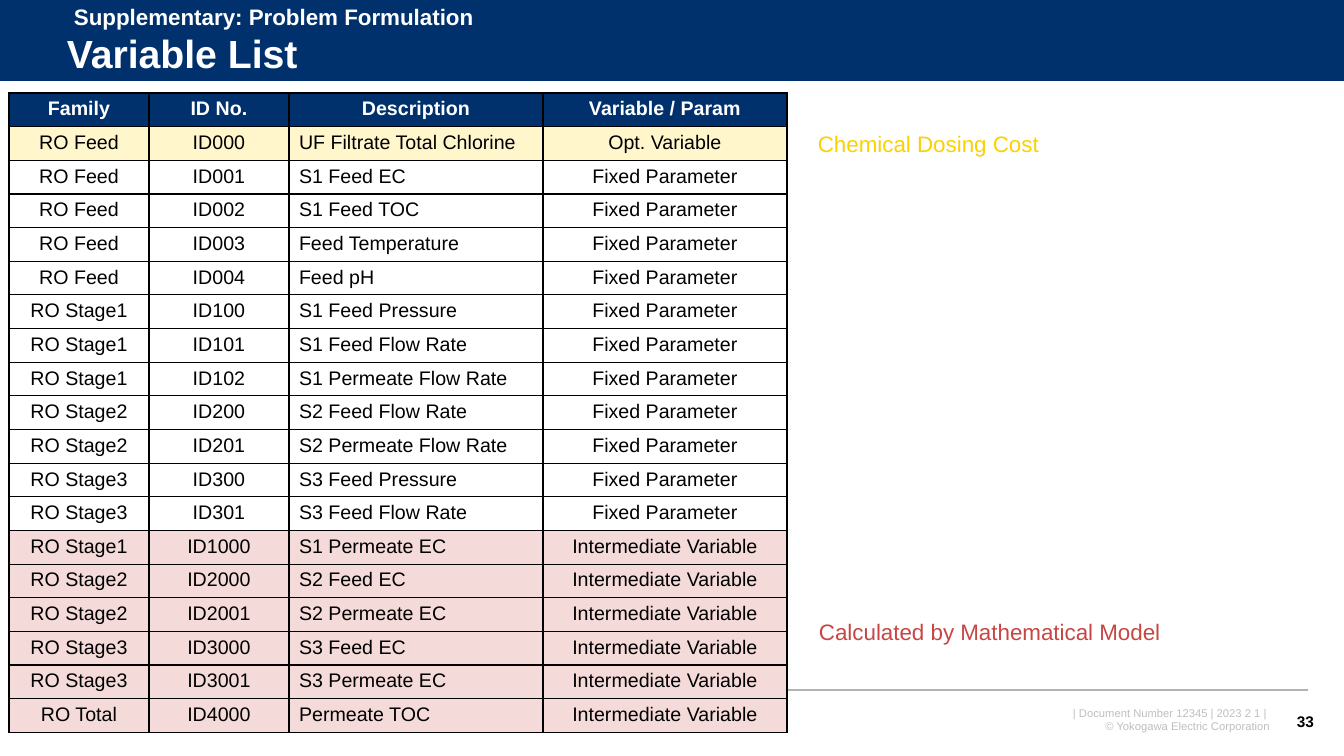
"""Build the slide listing the variables of the problem formulation."""
from lxml.etree import SubElement, fromstring
from pptx import Presentation
from pptx.dml.color import RGBColor
from pptx.enum.shapes import MSO_CONNECTOR, MSO_SHAPE
from pptx.enum.text import MSO_ANCHOR, PP_ALIGN
from pptx.oxml.ns import qn
from pptx.util import Emu, Pt

HEADERS = ("Family", "ID No.", "Description", "Variable / Param")
GROUPS = (
    ("Opt. Variable", "optimised", (
        ("RO Feed", "ID000", "UF Filtrate Total Chlorine"),
    )),
    ("Fixed Parameter", None, (
        ("RO Feed", "ID001", "S1 Feed EC"),
        ("RO Feed", "ID002", "S1 Feed TOC"),
        ("RO Feed", "ID003", "Feed Temperature"),
        ("RO Feed", "ID004", "Feed pH"),
        ("RO Stage1", "ID100", "S1 Feed Pressure"),
        ("RO Stage1", "ID101", "S1 Feed Flow Rate"),
        ("RO Stage1", "ID102", "S1 Permeate Flow Rate"),
        ("RO Stage2", "ID200", "S2 Feed Flow Rate"),
        ("RO Stage2", "ID201", "S2 Permeate Flow Rate"),
        ("RO Stage3", "ID300", "S3 Feed Pressure"),
        ("RO Stage3", "ID301", "S3 Feed Flow Rate"),
    )),
    ("Intermediate Variable", "intermediate", (
        ("RO Stage1", "ID1000", "S1 Permeate EC"),
        ("RO Stage2", "ID2000", "S2 Feed EC"),
        ("RO Stage2", "ID2001", "S2 Permeate EC"),
        ("RO Stage3", "ID3000", "S3 Feed EC"),
        ("RO Stage3", "ID3001", "S3 Permeate EC"),
        ("RO Total", "ID4000", "Permeate TOC"),
    )),
)
TEXTS = (
    {"box": (956, 701, 324, 37), "style": "footer", "align": PP_ALIGN.RIGHT,
     "lines": ("| Document Number 12345 | 2023 2 1 | ", "© Yokogawa Electric Corporation")},
    {"box": (57, 27, 1257, 57), "style": "title", "anchor": MSO_ANCHOR.MIDDLE,
     "spacing": 0.9, "lines": ("Variable List",)},
    {"box": (1280, 701, 44, 40), "style": "page", "align": PP_ALIGN.RIGHT,
     "anchor": MSO_ANCHOR.MIDDLE, "wrap": False, "lines": ("33",)},
    {"box": (64, -2, 598, 37), "style": "section",
     "lines": ("Supplementary: Problem Formulation",)},
    {"box": (808, 125, 279, 37), "style": "cost", "lines": ("Chemical Dosing Cost",)},
    {"box": (809, 613, 470, 37), "style": "model",
     "lines": ("Calculated by Mathematical Model",)},
)
SLIDE_SIZE = (1344, 756)
BAND_HEIGHT = 82
RULES = (((0, 82), (1344, 82), "white", 0.75), ((35, 690), (1308, 690), "rule", 1))
TABLE_ORIGIN = (9, 93)
TABLE_HEIGHT = 638
COLUMN_WIDTHS = (140, 140, 254, 244)
DESCRIPTION_COLUMN = 2

THEME = {
    "font": "Arial",
    "border_width": 1,
    "colors": {
        "navy": "00316C", "white": "FFFFFF", "black": "000000", "rule": "B2B2B2",
        "gray": "BFBFBF", "yellow": "FDD000", "red": "C74643",
        "optimised": "FFF6CC", "intermediate": "F4DAD9",
    },
    "styles": {
        "footer": (8, "gray", False), "title": (28, "white", True),
        "page": (11, "black", True), "section": (16, "white", True),
        "cost": (16, "yellow", False), "model": (16, "red", False),
        "header": (14, "white", True), "body": (14, "black", False),
    },
}


def px(length):
    return Emu(round(length * 914400 / 100.8))


def color(name):
    return RGBColor.from_string(THEME["colors"][name])


def apply_format(target, values):
    for name, value in values.items():
        setattr(target, name, value)


def write_lines(text_frame, lines, style, align=PP_ALIGN.LEFT, spacing=None):
    size, color_name, bold = THEME["styles"][style]
    for index, line in enumerate(lines):
        paragraph = text_frame.add_paragraph() if index else text_frame.paragraphs[0]
        apply_format(paragraph, {"alignment": align, "line_spacing": spacing})
        run = paragraph.add_run()
        run.text = line
        apply_format(run.font, {"name": THEME["font"], "size": Pt(size), "bold": bold})
        run.font.color.rgb = color(color_name)


def add_band(slide):
    band = slide.shapes.add_shape(
        MSO_SHAPE.RECTANGLE, 0, 0, px(SLIDE_SIZE[0]), px(BAND_HEIGHT))
    band.shadow.inherit = False
    band.fill.solid()
    band.fill.fore_color.rgb = color("navy")
    band.line.fill.background()


def add_rule(slide, start, end, color_name, width):
    rule = slide.shapes.add_connector(
        MSO_CONNECTOR.STRAIGHT, *(px(value) for value in start + end))
    rule.line.color.rgb = color(color_name)
    rule.line.width = Pt(width)
    SubElement(rule._element.spPr, qn("a:effectLst"))


def add_text(slide, item):
    box = slide.shapes.add_textbox(*(px(value) for value in item["box"]))
    apply_format(box.text_frame, {
        "word_wrap": item.get("wrap", True),
        "vertical_anchor": item.get("anchor", MSO_ANCHOR.TOP),
    })
    write_lines(box.text_frame, item["lines"], item["style"],
                item.get("align", PP_ALIGN.LEFT), item.get("spacing"))


def add_borders(cell):
    properties = cell._tc.get_or_add_tcPr()
    namespace = "http://schemas.openxmlformats.org/drawingml/2006/main"
    for index, side in enumerate(("lnL", "lnR", "lnT", "lnB")):
        properties.insert(index, fromstring(
            f'<a:{side} xmlns:a="{namespace}" w="{Pt(THEME["border_width"])}">'
            f'<a:solidFill><a:srgbClr val="{THEME["colors"]["black"]}"/></a:solidFill>'
            f'</a:{side}>'))


def fill_cell(cell, text, style, fill_name, align):
    write_lines(cell.text_frame, (text,), style, align)
    if fill_name:
        cell.fill.solid()
        cell.fill.fore_color.rgb = color(fill_name)
    else:
        cell.fill.background()
    add_borders(cell)


def add_variable_table(slide):
    rows = [(HEADERS, "header", "navy")]
    for role, fill_name, variables in GROUPS:
        rows += [(variable + (role,), "body", fill_name) for variable in variables]
    table = slide.shapes.add_table(
        len(rows), len(HEADERS), px(TABLE_ORIGIN[0]), px(TABLE_ORIGIN[1]),
        px(sum(COLUMN_WIDTHS)), px(TABLE_HEIGHT)).table
    apply_format(table, {"first_row": False, "horz_banding": False})
    for column, width in zip(table.columns, COLUMN_WIDTHS):
        column.width = px(width)
    for row_index, (texts, style, fill_name) in enumerate(rows):
        table.rows[row_index].height = px(TABLE_HEIGHT / len(rows))
        for column_index, text in enumerate(texts):
            is_description = style == "body" and column_index == DESCRIPTION_COLUMN
            align = PP_ALIGN.LEFT if is_description else PP_ALIGN.CENTER
            fill_cell(table.cell(row_index, column_index), text, style, fill_name, align)


def main():
    presentation = Presentation()
    width, height = SLIDE_SIZE
    apply_format(presentation, {"slide_width": px(width), "slide_height": px(height)})
    slide = presentation.slides.add_slide(presentation.slide_layouts[6])
    add_band(slide)
    for rule in RULES:
        add_rule(slide, *rule)
    for item in TEXTS:
        add_text(slide, item)
    add_variable_table(slide)
    presentation.save("out.pptx")


if __name__ == "__main__":
    main()
